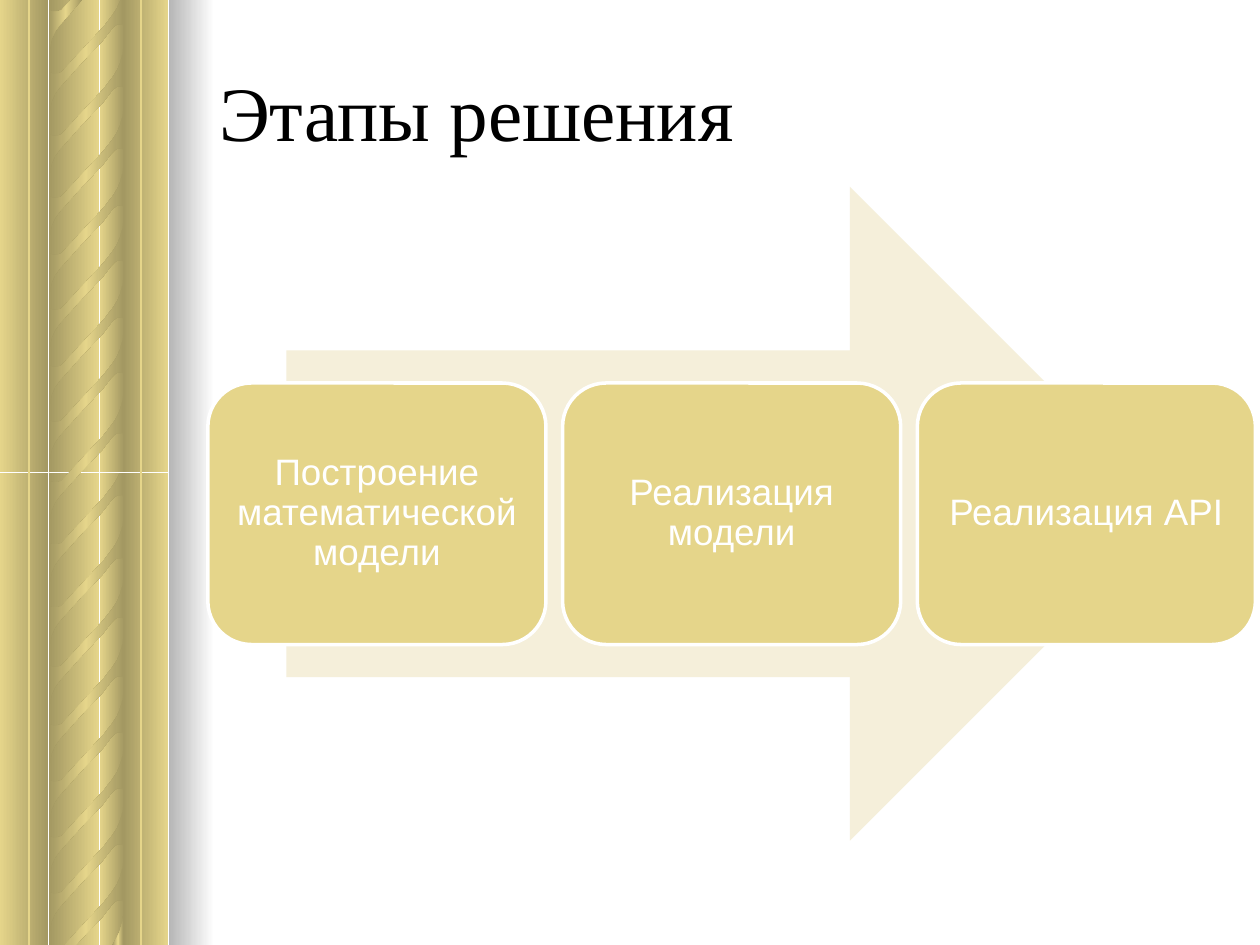
from itertools import pairwise

from lxml.etree import SubElement
from pptx import Presentation
from pptx.dml.color import RGBColor
from pptx.enum.shapes import MSO_CONNECTOR, MSO_SHAPE
from pptx.enum.text import MSO_ANCHOR, MSO_AUTO_SIZE, PP_ALIGN
from pptx.oxml.ns import qn
from pptx.util import Pt

GOLD = RGBColor(0xE5, 0xD5, 0x8A)
CREAM = RGBColor(0xF5, 0xEF, 0xDA)
WHITE = RGBColor(0xFF, 0xFF, 0xFF)
BLACK = RGBColor(0x00, 0x00, 0x00)

WIDE, HIGH = 720, 540
SHADE = 46300
FULL = 100000
RISE = (FULL, SHADE)
FALL = (SHADE, FULL)
GLINT = (SHADE, FULL, SHADE)

COLUMNS = [(57, 14, RISE), (0, 27.5, RISE), (28, 28.5, FALL), (70.5, 25.5, FALL)]
STRAND = [
    (42.5, 6.5), (42.5, 24), (42, 23), (39, 23), (37.5, 24), (35.5, 26),
    (30.5, 32.5), (18, 45.5), (6, 59), (3.5, 62.5), (1.5, 67), (0.5, 72.5),
    (0, 80.5), (0, 45.5), (0, 49), (0.5, 50.5), (2, 51), (3.5, 51), (5, 51),
    (7, 50.5), (31.5, 24), (36.5, 17.5), (39, 13.5), (40.5, 10), (42, 4.5),
    (42.5, 0), (42.5, 14.5),
]
UPPER = [62, 94.5, 126, 158.5, 190, 522, 26.5, -9, -44.5, 224.5]
LOWER = [330, 363.5, 395.5, 427.5, 459.5, 491.5, 296, 260]
STEPS = ["Построение математической модели", "Реализация модели", "Реализация API"]


def shade(shape, color, tones):
    """Fill a shape with a left-to-right gradient of shades of one colour."""
    shape.shadow.inherit = False
    shape.line.fill.background()
    shape.fill.gradient()
    shape.fill.gradient_angle = 0
    stops = next(shape._element.iter(qn("a:gsLst")))
    for stop in list(stops):
        stops.remove(stop)
    for i, tone in enumerate(tones):
        stop = SubElement(stops, qn("a:gs"), pos=str(i * FULL // (len(tones) - 1)))
        tint = SubElement(stop, qn("a:srgbClr"), val=str(color))
        if tone != FULL:
            SubElement(tint, qn("a:shade"), val=str(tone))


def add_block(slide, kind, left, top, width, height):
    """Add a preset shape measured in points."""
    return slide.shapes.add_shape(kind, Pt(left), Pt(top), Pt(width), Pt(height))


def clip(points, edge, side):
    """Keep the part of a polygon below (side 1) or above (side -1) an edge."""
    kept = []
    for (ax, ay), (bx, by) in pairwise(points + points[:1]):
        if side * (ay - edge) >= 0:
            kept.append((ax, ay))
        if (ay - edge) * (by - edge) < 0:
            kept.append((ax + (bx - ax) * (edge - ay) / (by - ay), edge))
    return kept


def add_strand(slide, left, start, top):
    """Add one twist of the rope, cut to the band and the slide."""
    points = [(left + x, start + y) for x, y in STRAND]
    points = clip(clip(points, top, 1), HIGH, -1)
    first, *rest = [(Pt(x), Pt(y)) for x, y in points]
    path = slide.shapes.build_freeform(*first, scale=1.0)
    path.add_line_segments(rest, close=True)
    shade(path.convert_to_shape(), GOLD, GLINT)


def add_band(slide, left, top, height, starts):
    """Add half of the column with its rope twists."""
    for shift, width, tones in COLUMNS:
        block = add_block(slide, MSO_SHAPE.RECTANGLE, left + shift, top, width, height)
        shade(block, GOLD, tones)
    for start in starts:
        add_strand(slide, left + 28, start, top)


def add_side(slide, left, top, height):
    """Add the ornamental column, its shadow and its fine lines."""
    half = height / 2
    add_band(slide, left, top + half, half, LOWER)
    add_band(slide, left, top, half, UPPER)
    cast = add_block(slide, MSO_SHAPE.RECTANGLE, left + 96.5, top, 26, height)
    shade(cast, WHITE, FALL)
    for x in (left + 16.5, left + 80.5):
        line = slide.shapes.add_connector(
            MSO_CONNECTOR.STRAIGHT, Pt(x), Pt(top), Pt(x), Pt(top + height))
        line.line.color.rgb = GOLD
        line.line.width = Pt(1)
        SubElement(line._element.spPr, qn("a:effectLst"))


def style(frame, font, size, color):
    """Centre text vertically and format its runs."""
    frame.word_wrap = True
    frame.auto_size = MSO_AUTO_SIZE.NONE
    frame.vertical_anchor = MSO_ANCHOR.MIDDLE
    for part in frame.paragraphs:
        for run in part.runs:
            run.font.name = font
            run.font.size = Pt(size)
            run.font.color.rgb = color


def set_title(slide, left, top, width, height):
    """Place and format the slide title."""
    title = slide.shapes.title
    title.left, title.top = Pt(left), Pt(top)
    title.width, title.height = Pt(width), Pt(height)
    title.text_frame.text = "Этапы решения"
    title.text_frame.paragraphs[0].alignment = PP_ALIGN.LEFT
    style(title.text_frame, "Times New Roman", 44, BLACK)


def add_step(slide, text, left, top, width, height):
    """Add one rounded step with its label."""
    card = add_block(slide, MSO_SHAPE.ROUNDED_RECTANGLE, left, top, width, height)
    card.shadow.inherit = False
    card.fill.solid()
    card.fill.fore_color.rgb = GOLD
    card.line.color.rgb = WHITE
    card.line.width = Pt(2)
    frame = card.text_frame
    frame.margin_left = frame.margin_right = Pt(6.5)
    frame.margin_top = frame.margin_bottom = Pt(6.5)
    frame.text = text
    frame.paragraphs[0].alignment = PP_ALIGN.CENTER
    frame.paragraphs[0].line_spacing = 0.9
    style(frame, "Arial", 21, WHITE)


def add_flow(slide, left, top, width, height):
    """Add the wide arrow and the row of steps across it."""
    inset = 0.075 * width
    arrow = add_block(
        slide, MSO_SHAPE.RIGHT_ARROW, left + inset, top, width - 2 * inset, height)
    arrow.shadow.inherit = False
    arrow.fill.solid()
    arrow.fill.fore_color.rgb = CREAM
    arrow.line.fill.background()
    gap, tall = 9.5, 0.4 * height
    wide = (width - gap * (len(STEPS) - 1)) / len(STEPS)
    for i, text in enumerate(STEPS):
        add_step(slide, text, left + i * (wide + gap), top + 0.3 * height, wide, tall)


def main():
    """Build and save the slide."""
    deck = Presentation()
    deck.slide_width, deck.slide_height = Pt(WIDE), Pt(HIGH)
    slide = deck.slides.add_slide(deck.slide_layouts[5])
    add_side(slide, 0, 0, HIGH)
    set_title(slide, 118, 18, 590, 90)
    add_flow(slide, 118.8, 106.8, 598.6, 373.6)
    deck.save("out.pptx")


if __name__ == "__main__":
    main()
